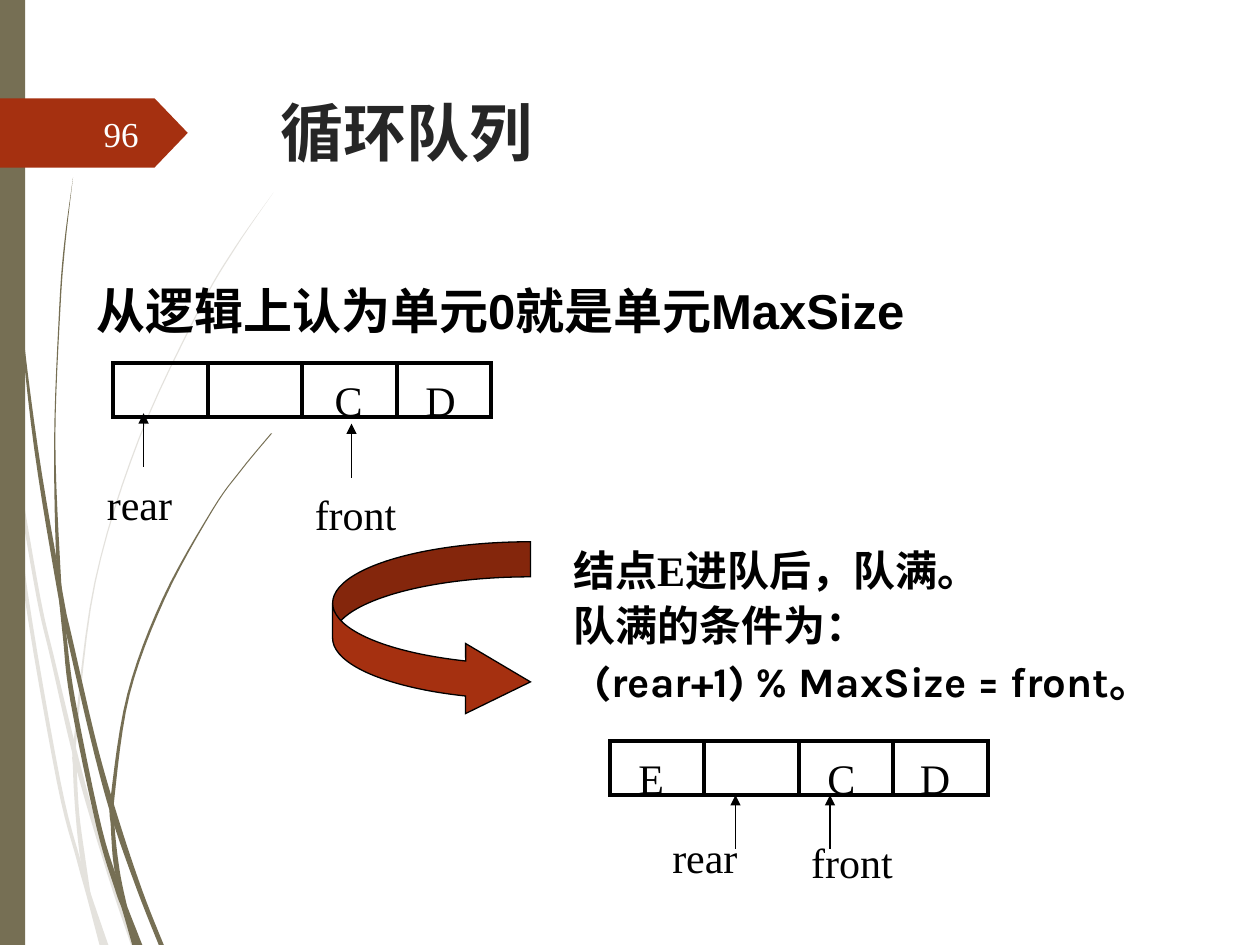
from dataclasses import dataclass
import pptx
import pptx.dml.color
import pptx.enum.shapes
import pptx.enum.text
import pptx.oxml.ns
import pptx.util
from lxml import etree

Inches = pptx.util.Inches
Shapes = pptx.enum.shapes.MSO_SHAPE
Align = pptx.enum.text.PP_ALIGN
Anchor = pptx.enum.text.MSO_ANCHOR

@dataclass(frozen=True)
class Theme:
    olive: str = "766F54"
    pale: str = "E4E2DD"
    red: str = "A53010"
    ink: str = "000000"
    title_ink: str = "262626"
    white: str = "FEFFFF"
    serif: str = "Times New Roman"
    sans: str = "Arial"
    title_font: str = "League Spartan"
    formula_font: str = "Karla"
    title_size: int = 36
    lead_size: int = 28
    body_size: int = 24
    number_size: int = 20
    thick: float = 2.25
    thin: float = 0.75

THEME = Theme()
CELL_WIDTH, CELL_HEIGHT, CELL_COUNT = 0.75, 0.43, 4

@dataclass(frozen=True)
class Strand:
    """A tapered stem; each row gives y, left edge and right edge."""
    color: str
    rows: tuple

@dataclass(frozen=True)
class Line:
    text: str
    size: int = THEME.body_size
    font: str = THEME.serif
    color: str = THEME.ink
    bold: bool = False
    align: Align = Align.LEFT
    spacing: float = 1.0
    indent: float = 0

@dataclass(frozen=True)
class Pointer:
    """Arrow and label, placed in columns and rows of the queue."""
    name: str
    arrow: tuple
    label: tuple

@dataclass(frozen=True)
class Queue:
    left: float
    top: float
    letters: tuple
    pointers: tuple

STRANDS = (
    Strand(THEME.pale, ((2.82, 0, 0), (3.22, .03, .06), (3.76, .12, .15), (4.74, .29, .32),
                        (5.22, .4, .43), (6.08, .6, .64), (6.93, .85, .88), (7.5, 1.04, 1.08))),
    Strand(THEME.pale, ((3.5, .08, .08), (3.76, .1, .12), (4.7, .19, .22), (6.2, .45, .48),
                        (6.83, .61, .64), (7.12, .69, .73), (7.5, .79, .86))),
    Strand(THEME.pale, ((1.53, 2.17, 2.17), (1.97, 1.86, 1.87), (2.45, 1.58, 1.59),
                        (3.48, 1.1, 1.11), (4.62, .75, .76), (5.84, .59, .61), (6.1, .58, .61),
                        (6.46, .6, .63), (6.83, .64, .68), (7.1, .7, .72))),
    Strand(THEME.olive, ((0, .02, .03), (1.1, .05, .06), (2.33, .14, .15), (3.55, .27, .3),
                         (4.72, .46, .5), (5.05, .53, .57), (5.91, .73, .77), (6.5, .89, .94),
                         (7.07, 1.09, 1.13), (7.5, 1.26, 1.3))),
    Strand(THEME.olive, ((4.77, .47, .5), (5.06, .5, .53), (5.57, .56, .6), (6.58, .77, .81),
                         (7.08, .92, .97), (7.22, .97, 1.02), (7.5, 1.05, 1.13))),
    Strand(THEME.olive, ((1.41, .58, .58), (1.93, .51, .52), (2.45, .47, .48), (3.49, .43, .44),
                         (4.51, .45, .48), (4.9, .5, .51))),
    Strand(THEME.olive, ((3.44, 2.15, 2.16), (3.73, 1.91, 1.92), (4.05, 1.68, 1.69),
                         (4.75, 1.29, 1.31), (5.51, 1.01, 1.03), (6.32, .88, .91),
                         (6.56, .88, .91), (6.91, .91, .95), (7.2, 1, 1.01))),
)
QUEUES = (
    Queue(0.9, 2.88, (("C", 2.21), ("D", 3.17)),
          (Pointer("rear", (0.32, 0.93), (-0.2, 2.02)), Pointer("front", (2.52, 1.12), (2, 2.21)))),
    Queue(4.84, 5.88, (("E", 0.17), ("C", 2.17), ("D", 3.15)),
          (Pointer("rear", (1.33, 1), (0.53, 1.56)), Pointer("front", (2.33, 1), (2, 1.65)))),
)

def rgb(color: str) -> pptx.dml.color.RGBColor:
    return pptx.dml.color.RGBColor.from_string(color)

def style(shape, fill: str = "", line: float = 0):
    shape.shadow.inherit = False
    shape.fill.background()
    shape.line.fill.background()
    if fill:
        shape.fill.solid()
        shape.fill.fore_color.rgb = rgb(fill)
    if line:
        shape.line.color.rgb = rgb(THEME.ink)
        shape.line.width = pptx.util.Pt(line)
        etree.SubElement(shape.line._get_or_add_ln(), pptx.oxml.ns.qn("a:miter"), lim="800000")
    return shape

def add_preset(slide, kind, box: tuple, fill: str = "", line: float = 0):
    return style(slide.shapes.add_shape(kind, *map(Inches, box)), fill, line)

def smooth(points: list, steps: int = 6) -> list:
    """Run a Catmull-Rom curve through the points."""
    padded = [points[0], *points, points[-1]]
    return [
        tuple(q + t * (r - p) / 2 + t * t * (2 * p - 5 * q + 4 * r - s) / 2
              + t ** 3 * (3 * q - p - 3 * r + s) / 2 for p, q, r, s in zip(*corners))
        for corners in zip(padded, padded[1:], padded[2:], padded[3:])
        for t in (step / steps for step in range(steps))] + [points[-1]]

def add_strand(slide, strand: Strand) -> None:
    left = smooth([(Inches(x), Inches(y)) for y, x, _ in strand.rows])
    right = smooth([(Inches(x), Inches(y)) for y, _, x in strand.rows])
    start, *rest = left + right[::-1]
    builder = slide.shapes.build_freeform(*start)
    builder.add_line_segments(rest, close=True)
    style(builder.convert_to_shape(), strand.color)

def add_text(slide, box: tuple, *lines: Line, anchor=Anchor.TOP) -> None:
    frame = slide.shapes.add_textbox(*map(Inches, box)).text_frame
    frame.word_wrap, frame.vertical_anchor = True, anchor
    for index, line in enumerate(lines):
        paragraph = frame.add_paragraph() if index else frame.paragraphs[0]
        paragraph.text, paragraph.alignment = line.text, line.align
        paragraph.line_spacing = line.spacing
        if line.indent:
            paragraph._p.get_or_add_pPr().set("marL", str(Inches(line.indent)))
        font = paragraph.font
        font.name, font.size, font.bold = line.font, pptx.util.Pt(line.size), line.bold
        font.color.rgb = rgb(line.color)

def add_line(slide, x: float, top: float, width: float, arrow: bool = False):
    ends = map(Inches, (x, top, x, top + CELL_HEIGHT))
    connector = slide.shapes.add_connector(pptx.enum.shapes.MSO_CONNECTOR.STRAIGHT, *ends)
    connector.line.color.rgb = rgb(THEME.ink)
    connector.line.width = pptx.util.Pt(width)
    if arrow:
        etree.SubElement(connector.line._get_or_add_ln(), pptx.oxml.ns.qn("a:headEnd"), type="triangle")
    etree.SubElement(connector._element.spPr, pptx.oxml.ns.qn("a:effectLst"))
    return connector

def add_queue(slide, queue: Queue) -> None:
    def at(column: float, row: float) -> tuple:
        return queue.left + column * CELL_WIDTH, queue.top + row * CELL_HEIGHT

    box = (queue.left, queue.top, CELL_COUNT * CELL_WIDTH, CELL_HEIGHT)
    frame = add_preset(slide, Shapes.RECTANGLE, box, line=THEME.thick)
    for column in range(1, CELL_COUNT):
        divider = add_line(slide, *at(column, 0), THEME.thick)
        if column * 2 == CELL_COUNT:
            divider.begin_connect(frame, 0)
            divider.end_connect(frame, 2)
    for letter, column in queue.letters:
        add_text(slide, (*at(column, 0.1), 0.38, 0.26), Line(letter))
    for pointer in queue.pointers:
        add_line(slide, *at(*pointer.arrow), THEME.thin, arrow=True)
        add_text(slide, (*at(*pointer.label), 1.2, 0.46), Line(pointer.name))

def main() -> None:
    presentation = pptx.Presentation()
    presentation.slide_width, presentation.slide_height = Inches(10), Inches(7.5)
    slide = presentation.slides.add_slide(presentation.slide_layouts[6])
    # Stems, side bar and page badge
    for strand in STRANDS:
        add_strand(slide, strand)
    add_preset(slide, Shapes.RECTANGLE, (0, 0, 0.2, 7.5), THEME.olive)
    badge = add_preset(slide, Shapes.PENTAGON, (0, 0.78, 1.49, 0.55), THEME.red)
    badge.adjustments[0] = 0.48
    number = Line("96", THEME.number_size, color=THEME.white, align=Align.RIGHT)
    add_text(slide, (0.56, 0.86, 0.64, 0.4), number, anchor=Anchor.MIDDLE)
    # Title and lead sentence
    add_text(slide, (2.13, 0.69, 7.21, 1.4),
             Line("循环队列", THEME.title_size, THEME.title_font, THEME.title_ink, True))
    add_text(slide, (0.67, 2.18, 8.66, 0.57),
             Line("从逻辑上认为单元0就是单元MaxSize", THEME.lead_size, THEME.sans, bold=True))
    # Queue before and after, joined by the curved arrow
    for queue in QUEUES:
        add_queue(slide, queue)
    arrow = add_preset(slide, Shapes.CURVED_RIGHT_ARROW, (2.64, 4.3, 1.57, 1.39), THEME.red, THEME.thin)
    for index, share in enumerate((0.2, 0.4, 0.37)):
        arrow.adjustments[index] = share
    # Condition for a full queue
    body = dict(bold=True, align=Align.JUSTIFY, spacing=1.1)
    add_text(slide, (4.45, 4.23, 5.55, 1.02), Line("结点E进队后，队满。", **body),
             Line("队满的条件为：", font=THEME.formula_font, **body),
             Line("(rear+1) % MaxSize = front。", font=THEME.formula_font, indent=0.17, **body))
    presentation.save("out.pptx")

if __name__ == "__main__":
    main()
